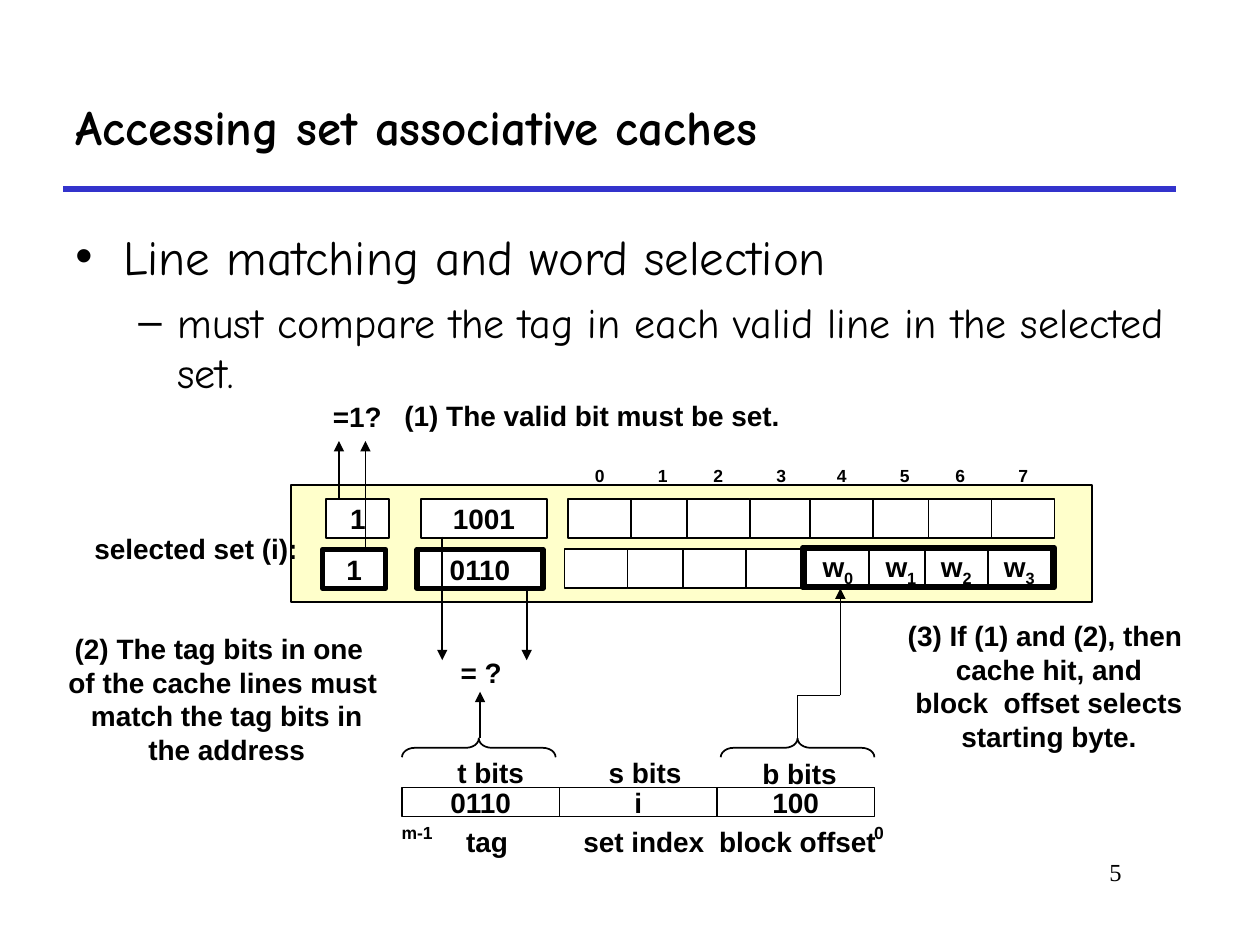
"""Build the slide on line matching and word selection in set associative caches."""
from dataclasses import dataclass

from lxml.etree import SubElement
from pptx import Presentation
from pptx.dml.color import RGBColor
from pptx.enum.shapes import MSO_CONNECTOR, MSO_SHAPE
from pptx.enum.text import MSO_ANCHOR, PP_ALIGN
from pptx.oxml.ns import qn
from pptx.util import Inches, Pt


@dataclass(frozen=True)
class Theme:
    ink: str = "000000"
    paper: str = "FFFFFF"
    rule: str = "3333CC"
    cache: str = "FFFF99"
    cache_alpha: str = "50000"
    heading_font: str = "Comic Neue"
    label_font: str = "Arial"
    number_font: str = "Times New Roman"
    title: int = 28
    detail: int = 24
    label: int = 16
    number: int = 14
    index: int = 10
    thin: int = 1
    thick: int = 3


THEME = Theme()
COLUMNS, ROWS = 100, 75
TITLE = "Accessing set associative caches"
PAGE = "5"
BULLETS = [
    ("Line matching and word selection", "•", THEME.title, 0.38, 0.38, 0),
    ("must compare the tag in each valid line in the selected set.",
     "–", THEME.detail, 0.81, 0.31, 6),
]
CACHE_SET = (23.1, 38.5, 63.6, 9.3)
CACHE_LINES = [
    {"left": 25.9, "top": 39.6, "valid": "1", "tag": "1001",
     "words": [""] * 8, "border": THEME.thin},
    {"left": 25.6, "top": 43.6, "valid": "1", "tag": "0110",
     "words": [""] * 4 + ["w0", "w1", "w2", "w3"], "border": THEME.thick},
]
TAG_OFFSET, BLOCK_OFFSET, BLOCK_HALF = 7.5, 19.2, 19.2
WORD_STEPS = (0, 5, 9.4, 14.4)
VALID_WIDTH, TAG_WIDTH, WORD_WIDTH, LINE_HEIGHT = 5, 10, 5, 3.1
CHOSEN_WORDS = (63.7, 43.5, 20, LINE_HEIGHT)
INDEX_TOP = 36.2
ADDRESS_VALUES = ["0110", "i", "100"]
ADDRESS_LEFT, ADDRESS_TOP, FIELD_WIDTH, FIELD_HEIGHT = 31.9, 62.5, 12.5, 2.3
LABELS = [
    ("t bits", 35.3, 59.5, 7.3, 3.6),
    ("s bits", 47.3, 59.5, 7.8, 3.6),
    ("b bits", 59.5, 59.6, 7.9, 3.6),
    ("tag", 36, 65, 5.3, 3.6),
    ("set index", 45.3, 65, 11.6, 3.6),
    ("block offset", 56.1, 65, 14.4, 3.6),
    ("selected set (i):", 6.5, 41.7, 18.1, 3.7),
    ("=1?", 25.4, 31.2, 5.9, 3.7),
    ("= ?", 35.6, 51.5, 5.2, 3.7),
    ("(1) The valid bit must be set.", 31.1, 31.1, 31.8, 3.7),
]
BIT_ENDS = [("m-1", 30.9, 64.7, 4.4, 2.7), ("0", 68.4, 64.7, 2.7, 2.7)]
CALLOUTS = [
    ("(2) The tag bits in one  \nof the cache lines must \n"
     "match the tag bits in\nthe address", 0, 49.6, 36, 11.7),
    ("(3) If (1) and (2), then \ncache hit, and\n block  offset selects \n"
     "starting byte.", 67.4, 48.6, 31.7, 11.7),
]
BRACES = [(31.9, 12.2), (57.2, 12.2)]
BRACE_TOP, BRACE_DEPTH, BRACE_CURVE = 58.6, 1.5, 0.68
ARROWS = [
    (38.1, 58.6, 38.1, 54.9),
    (26.9, 39.5, 26.9, 35),
    (29, 43.5, 29, 35),
    (41.8, 46.5, 41.8, 52.4),
    (35.1, 42.6, 35.1, 52.4),
    (66.7, 55.2, 66.7, 46.7),
]
OFFSET_PATH = [(63.3, 55.2, 66.7, 55.2), (63.3, 55.2, 63.3, 58.9)]

deck = Presentation()
deck.slide_width, deck.slide_height = Inches(10), Inches(7.5)
slide = deck.slides.add_slide(deck.slide_layouts[6])


def place(left, top, width, height):
    column, row = deck.slide_width / COLUMNS, deck.slide_height / ROWS
    return (round(left * column), round(top * row),
            round(width * column), round(height * row))


def style(paragraph, size, font, bold, align):
    paragraph.alignment = align
    for run in paragraph.runs:
        run.font.size, run.font.name, run.font.bold = Pt(size), font, bold
        run.font.color.rgb = RGBColor.from_string(THEME.ink)


def write(shape, text, size=THEME.label, font=THEME.label_font, bold=True,
          align=PP_ALIGN.CENTER, anchor=MSO_ANCHOR.MIDDLE, wrap=False):
    frame = shape.text_frame
    frame.text = text
    frame.word_wrap, frame.vertical_anchor = wrap, anchor
    if not wrap:
        frame.margin_left = frame.margin_right = 0
    for paragraph in frame.paragraphs:
        style(paragraph, size, font, bold, align)
    return frame


def add_label(text, box, **look):
    write(slide.shapes.add_textbox(*place(*box)), text, **look)


def add_box(box, fill=None, border=THEME.thin, kind=MSO_SHAPE.RECTANGLE):
    shape = slide.shapes.add_shape(kind, *place(*box))
    shape.shadow.inherit = False
    if fill:
        shape.fill.solid()
        shape.fill.fore_color.rgb = RGBColor.from_string(fill)
    else:
        shape.fill.background()
    shape.line.color.rgb = RGBColor.from_string(THEME.ink)
    shape.line.width = Pt(border)
    return shape


def add_line(ends, color=THEME.ink, width=THEME.thin, arrow=False):
    line = slide.shapes.add_connector(MSO_CONNECTOR.STRAIGHT, *place(*ends))
    line.line.color.rgb = RGBColor.from_string(color)
    line.line.width = Pt(width)
    if arrow:
        SubElement(line.line._get_or_add_ln(), qn("a:tailEnd"), type="triangle")
    SubElement(line._element.spPr, qn("a:effectLst"))


def add_word(text, box):
    cell = add_box(box, THEME.paper)
    if text:
        paragraph = write(cell, text[0]).paragraphs[0]
        subscript = paragraph.add_run()
        subscript.text = text[1:]
        style(paragraph, THEME.label, THEME.label_font, True, PP_ALIGN.CENTER)
        subscript._r.get_or_add_rPr().set("baseline", "-25000")


def word_left(line, position):
    half, step = divmod(position, len(WORD_STEPS))
    return line["left"] + BLOCK_OFFSET + half * BLOCK_HALF + WORD_STEPS[step]


def add_bullets():
    body = slide.shapes.add_textbox(*place(5, 17.5, 90.8, 15)).text_frame
    body.word_wrap = True
    body.text = "\n".join(bullet[0] for bullet in BULLETS)
    for paragraph, (_, mark, size, margin, hang, before) in zip(body.paragraphs, BULLETS):
        properties = paragraph._p.get_or_add_pPr()
        properties.set("marL", str(Inches(margin)))
        properties.set("indent", str(-Inches(hang)))
        SubElement(properties, qn("a:buFont"), typeface=THEME.label_font)
        SubElement(properties, qn("a:buChar"), char=mark)
        paragraph.space_before = Pt(before)
        style(paragraph, size, THEME.heading_font, False, PP_ALIGN.LEFT)


def add_cache():
    cache = add_box(CACHE_SET, THEME.cache)
    tint = cache.fill._xPr.find(qn("a:solidFill"))[0]
    SubElement(tint, qn("a:alpha"), val=THEME.cache_alpha)
    for line in CACHE_LINES:
        left, top = line["left"], line["top"]
        for part, offset, width in (("valid", 0, VALID_WIDTH), ("tag", TAG_OFFSET, TAG_WIDTH)):
            box = (left + offset, top, width, LINE_HEIGHT)
            write(add_box(box, THEME.paper, line["border"]), line[part])
        for position, word in enumerate(line["words"]):
            add_word(word, (word_left(line, position), top, WORD_WIDTH, LINE_HEIGHT))
    add_box(CHOSEN_WORDS, border=THEME.thick)
    for position in range(len(CACHE_LINES[0]["words"])):
        box = (word_left(CACHE_LINES[0], position), INDEX_TOP, WORD_WIDTH, LINE_HEIGHT)
        add_label(str(position), box, size=THEME.index)


def add_address():
    for position, value in enumerate(ADDRESS_VALUES):
        left = ADDRESS_LEFT + position * FIELD_WIDTH
        write(add_box((left, ADDRESS_TOP, FIELD_WIDTH, FIELD_HEIGHT)), value)
    for left, span in BRACES:
        shift = (span - BRACE_DEPTH) / 2
        brace = add_box((left + shift, BRACE_TOP - shift, BRACE_DEPTH, span),
                        kind=MSO_SHAPE.RIGHT_BRACE)
        brace.rotation = 270
        brace.adjustments[0] = BRACE_CURVE


add_line((5, 15, 93.3, 15), THEME.rule, THEME.thick)
add_label(PAGE, (75.8, 67.5, 14.2, 5), size=THEME.number, font=THEME.number_font,
          bold=False, align=PP_ALIGN.RIGHT, anchor=MSO_ANCHOR.TOP, wrap=True)
add_label(TITLE, (5, 5, 88.3, 10), size=THEME.title, font=THEME.heading_font,
          align=PP_ALIGN.LEFT, wrap=True)
add_bullets()
add_cache()
add_address()
for text, *box in LABELS:
    add_label(text, box)
for text, *box in BIT_ENDS:
    add_label(text, box, size=THEME.index)
for text, *box in CALLOUTS:
    add_label(text, box, wrap=True)
for ends in ARROWS:
    add_line(ends, arrow=True)
for ends in OFFSET_PATH:
    add_line(ends)
deck.save("out.pptx")
